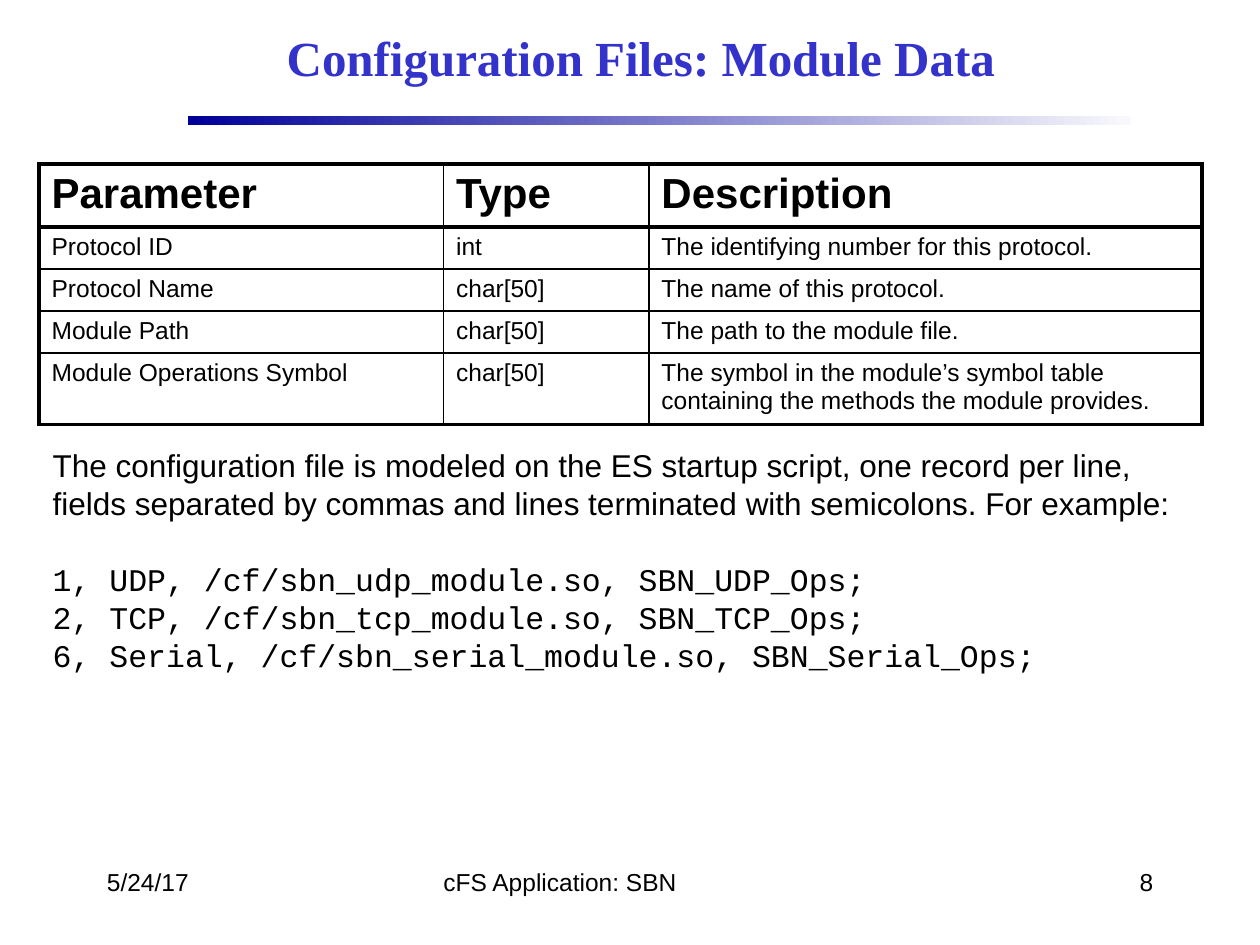
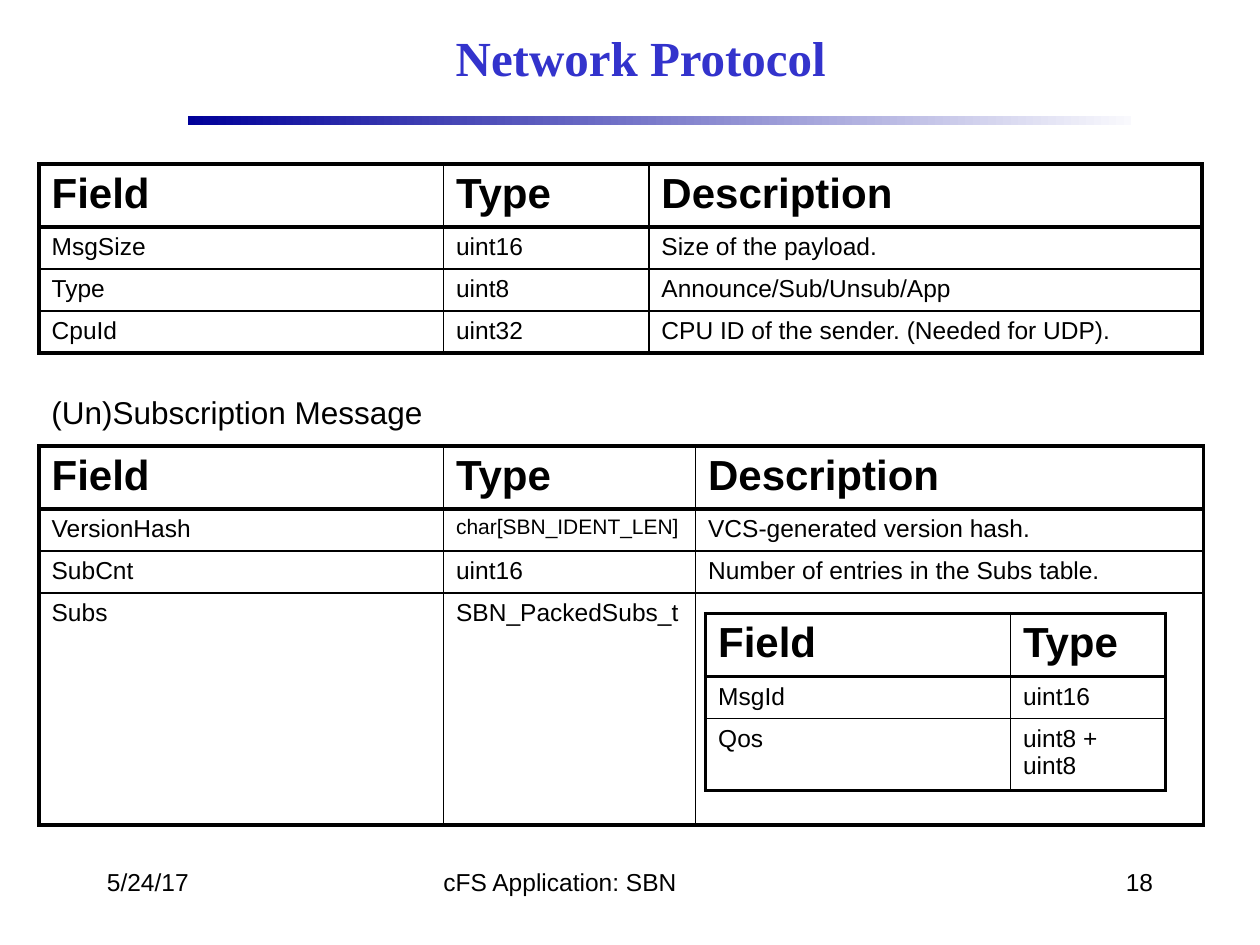
"""Build two slides on SBN module configuration and its network protocol."""
import pptx
import pptx.dml.color
import pptx.enum.shapes
import pptx.enum.text
import pptx.oxml
import pptx.oxml.ns
import pptx.util

Inches = pptx.util.Inches
Pt = pptx.util.Pt
RGBColor = pptx.dml.color.RGBColor
ALIGN = pptx.enum.text.PP_ALIGN

COLORS = {
    "text": "000000",
    "title": "3333CC",
    "band_start": "000099",
    "band_end": "F9F9FD",
    "cell": "FFFFFF",
}
THICK, THIN = 2.25, 1
HEADER_SIZE, BODY_SIZE, PROSE_SIZE, PROSE_PITCH = 24, 14, 18, 21.7


def write_text(frame, text, size=BODY_SIZE, font="Arial", color="text", bold=False,
               align=ALIGN.LEFT, pitch=None, before=0, wrap=True, more=False):
    """Write one paragraph, adding it after the existing ones when more is set."""
    frame.word_wrap = wrap
    paragraph = frame.add_paragraph() if more else frame.paragraphs[0]
    paragraph.alignment = align
    paragraph.space_before = Pt(before)
    if pitch:
        paragraph.line_spacing = Pt(pitch)
    run = paragraph.add_run()
    run.text = text
    run.font.name = font
    run.font.size = Pt(size)
    run.font.bold = bold
    run.font.color.rgb = RGBColor.from_string(COLORS[color])


def add_grid(slide, left, top, widths, heights, rows, small=()):
    """Add a table with a thick frame, a thick header rule and thin inner lines."""
    table = slide.shapes.add_table(
        len(rows), len(widths), Inches(left), Inches(top),
        Inches(sum(widths)), Inches(sum(heights))).table
    table.first_row = False
    table.horz_banding = False
    for column, width in zip(table.columns, widths):
        column.width = Inches(width)
    for row_index, (texts, height) in enumerate(zip(rows, heights)):
        table.rows[row_index].height = Inches(height)
        for column_index, text in enumerate(texts):
            cell = table.cell(row_index, column_index)
            thick_sides = {
                "lnL": column_index == 0,
                "lnR": column_index == len(widths) - 1,
                "lnT": row_index <= 1,
                "lnB": row_index in (0, len(rows) - 1),
            }
            properties = cell._tc.get_or_add_tcPr()
            for side, thick in thick_sides.items():
                properties.append(pptx.oxml.parse_xml(
                    f'<a:{side} {pptx.oxml.ns.nsdecls("a")} w="{Pt(THICK if thick else THIN)}">'
                    f'<a:solidFill><a:srgbClr val="{COLORS["text"]}"/></a:solidFill></a:{side}>'))
            cell.fill.solid()
            cell.fill.fore_color.rgb = RGBColor.from_string(COLORS["cell"])
            if text:
                header = row_index == 0
                size = HEADER_SIZE if header else 12 if text in small else BODY_SIZE
                write_text(cell.text_frame, text, size=size, bold=header)


presentation = pptx.Presentation()
presentation.slide_width = Inches(10)
presentation.slide_height = Inches(7.5)

slides = []
for title_text, number in [("Configuration Files: Module Data", "8"), ("Network Protocol", "18")]:
    slide = presentation.slides.add_slide(presentation.slide_layouts[5])
    slides.append(slide)

    band = slide.shapes.add_shape(pptx.enum.shapes.MSO_SHAPE.RECTANGLE,
                                  Inches(1.49), Inches(0.92), Inches(7.49), Inches(0.07))
    band.shadow.inherit = False
    band.line.fill.background()
    band.fill.gradient()
    band.fill.gradient_angle = 0
    for stop, name, position in zip(band.fill.gradient_stops, ("band_start", "band_end"), (0, 1)):
        stop.color.rgb = RGBColor.from_string(COLORS[name])
        stop.position = position

    title = slide.shapes.title
    title.left, title.top, title.width, title.height = map(Inches, (1.5, 0.08, 7.17, 0.75))
    title.text_frame.vertical_anchor = pptx.enum.text.MSO_ANCHOR.MIDDLE
    write_text(title.text_frame, title_text, size=28, font="Times New Roman",
               color="title", bold=True, align=ALIGN.CENTER)

    for text, left, width, align in [("5/24/17", 0.75, 2.08, ALIGN.LEFT),
                                     ("cFS Application: SBN", 3.42, 3.17, ALIGN.LEFT),
                                     (number, 7.17, 2.08, ALIGN.RIGHT)]:
        footer = slide.shapes.add_textbox(Inches(left), Inches(6.83), Inches(width), Inches(0.5))
        write_text(footer.text_frame, text, align=align)

configuration, protocol = slides
wide_columns = [3.21, 1.63, 4.39]

add_grid(configuration, 0.31, 1.3, wide_columns, [0.47] + [0.31] * 3 + [0.54], [
    ("Parameter", "Type", "Description"),
    ("Protocol ID", "int", "The identifying number for this protocol."),
    ("Protocol Name", "char[50]", "The name of this protocol."),
    ("Module Path", "char[50]", "The path to the module file."),
    ("Module Operations Symbol", "char[50]",
     "The symbol in the module’s symbol table containing the methods the module provides."),
])

example = configuration.shapes.add_textbox(Inches(0.32), Inches(3.49), Inches(9.09), Inches(1.92))
write_text(example.text_frame,
           "The configuration file is modeled on the ES startup script, one record per line, "
           "fields separated by commas and lines terminated with semicolons. For example:",
           size=PROSE_SIZE, pitch=PROSE_PITCH)
records = ["1, UDP, /cf/sbn_udp_module.so, SBN_UDP_Ops;",
           "2, TCP, /cf/sbn_tcp_module.so, SBN_TCP_Ops;",
           "6, Serial, /cf/sbn_serial_module.so, SBN_Serial_Ops;"]
for index, record in enumerate(records):
    write_text(example.text_frame, record, size=PROSE_SIZE, font="Courier New", pitch=PROSE_PITCH,
               before=PROSE_PITCH if index == 0 else 0, more=True)

add_grid(protocol, 0.31, 1.3, wide_columns, [0.47] + [0.31] * 3, [
    ("Field", "Type", "Description"),
    ("MsgSize", "uint16", "Size of the payload."),
    ("Type", "uint8", "Announce/Sub/Unsub/App"),
    ("CpuId", "uint32", "CPU ID of the sender. (Needed for UDP)."),
])

caption = protocol.shapes.add_textbox(Inches(0.31), Inches(3.07), Inches(3.18), Inches(0.4))
write_text(caption.text_frame, "(Un)Subscription Message", size=PROSE_SIZE,
           pitch=PROSE_PITCH, wrap=False)

add_grid(protocol, 0.31, 3.54, [3.21, 2, 4.03], [0.5, 0.33, 0.33, 1.84], [
    ("Field", "Type", "Description"),
    ("VersionHash", "char[SBN_IDENT_LEN]", "VCS-generated version hash."),
    ("SubCnt", "uint16", "Number of entries in the Subs table."),
    ("Subs", "SBN_PackedSubs_t", ""),
], small=("char[SBN_IDENT_LEN]",))

add_grid(protocol, 5.6, 4.87, [2.42, 1.23], [0.5, 0.33, 0.57], [
    ("Field", "Type"),
    ("MsgId", "uint16"),
    ("Qos", "uint8 + uint8"),
])

presentation.save("out.pptx")
